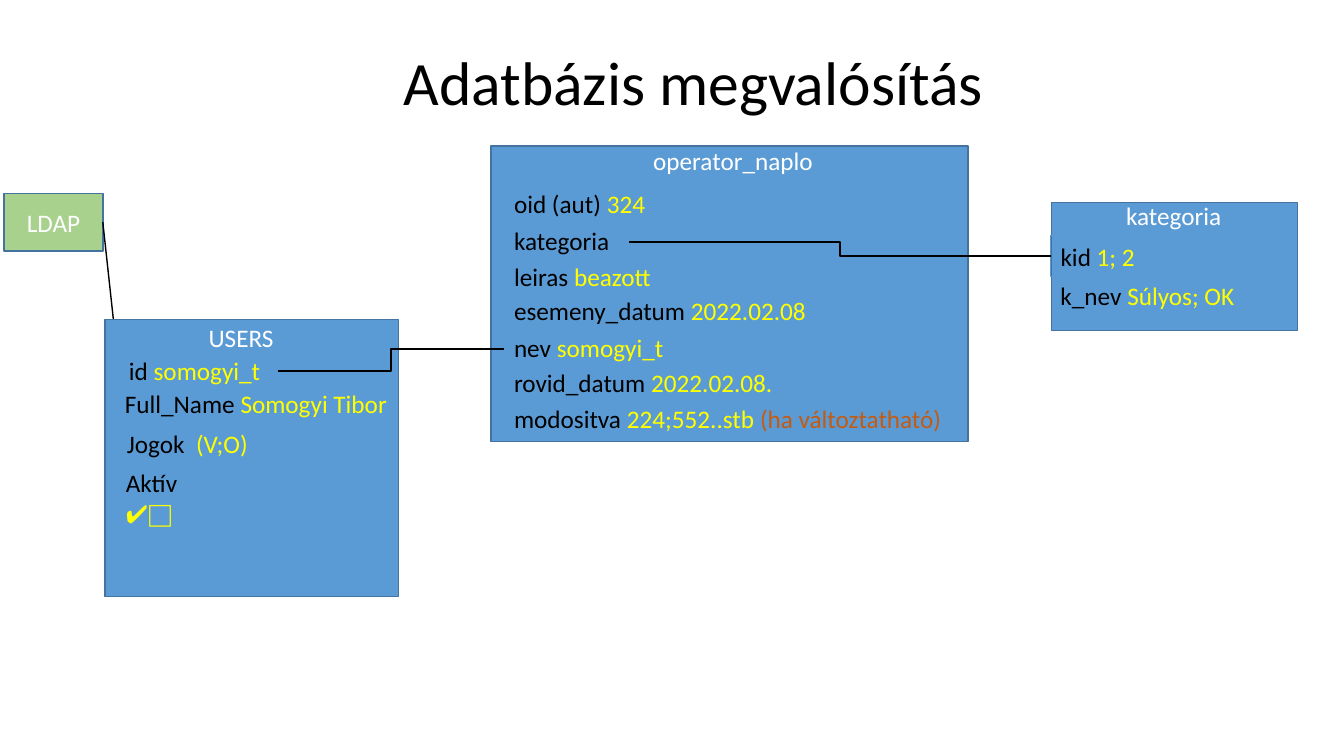
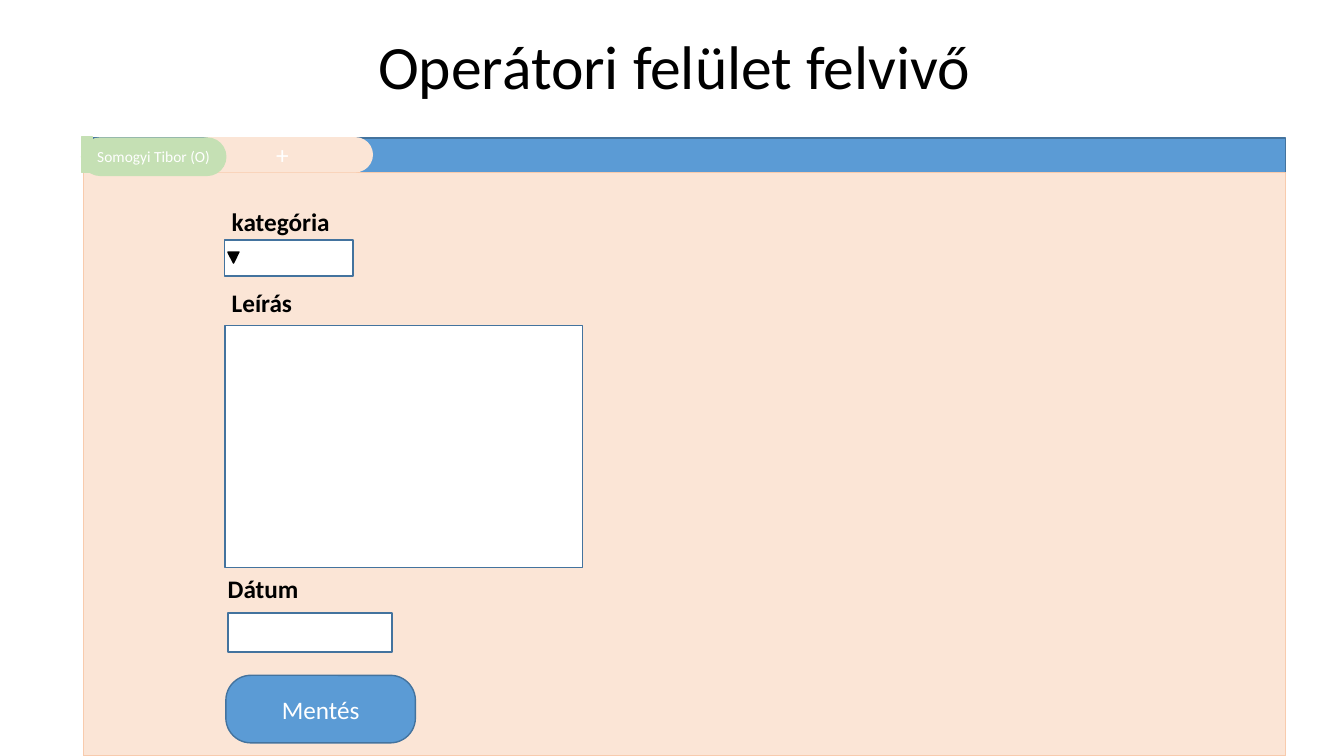
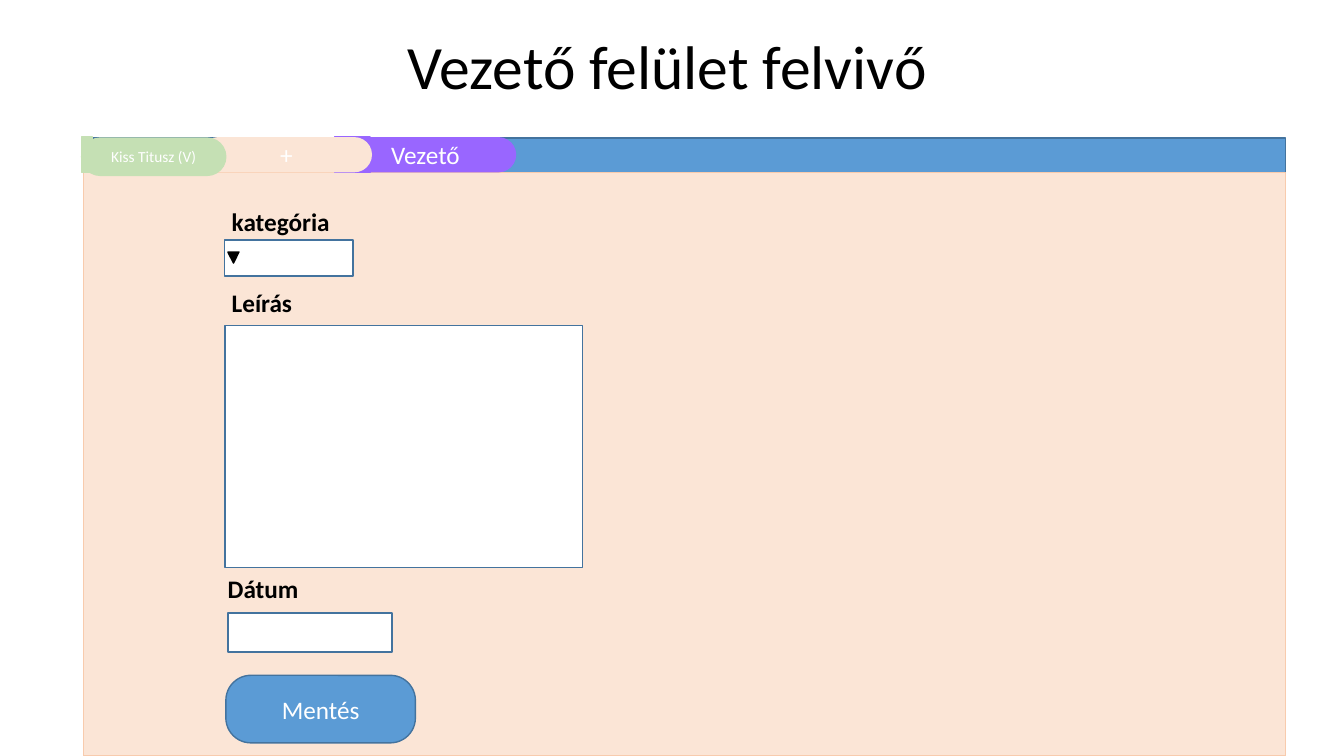
import pptx
import pptx.util
import pptx.dml.color
import pptx.enum.shapes
import pptx.enum.text
import pptx.oxml.ns
import lxml.etree
from dataclasses import dataclass

Inches, Pt = pptx.util.Inches, pptx.util.Pt
SHAPE = pptx.enum.shapes.MSO_SHAPE
CONNECTOR = pptx.enum.shapes.MSO_CONNECTOR
ALIGN = pptx.enum.text.PP_ALIGN
ANCHOR = pptx.enum.text.MSO_ANCHOR
AUTO_SIZE = pptx.enum.text.MSO_AUTO_SIZE
TOP, LEFT, BOTTOM, RIGHT = range(4)


@dataclass(frozen=True)
class Theme:
    font: str = "Calibri"
    title_size: int = 44
    text_size: int = 18
    small_size: int = 11
    black: str = "000000"
    white: str = "FFFFFF"
    blue: str = "5B9BD5"
    outline: str = "43739E"
    green: str = "A9D18E"
    pale_green: str = "C5E0B4"
    peach: str = "FBE5D6"
    peach_line: str = "F8CBAD"
    purple: str = "9966FF"
    yellow: str = "FFFF00"
    rust: str = "C55A11"


T = Theme()

# Content: database tables; a row is (name, x, y, width, runs)
ROW_COLOURS = (T.black, T.yellow, T.rust)
DB_TITLE = "Adatbázis megvalósítás"
OPERATOR_NAPLO = {
    "box": (4.87, 1.45, 4.73, 2.93),
    "head": ("operator_naplo", (6.38, 1.39, 1.99, 0.43)),
    "row_height": 0.43,
    "rows": [
        ("oid", 5, 1.82, 1.56, ("oid (aut) ", "324")),
        ("kategoria", 5, 2.19, 1.24, ("kategoria",)),
        ("leiras", 5, 2.54, 1.61, ("leiras ", "beazott")),
        ("esemeny", 5, 2.88, 3.2, ("esemeny_datum ", "2022.02.08")),
        ("nev", 5, 3.25, 1.74, ("nev ", "somogyi_t")),
        ("rovid", 5, 3.59, 2.86, ("rovid_datum ", "2022.02.08.")),
        ("modositva", 5, 3.95, 4.59,
         ("modositva ", "224;552..stb ", "(ha változtatható)")),
    ],
}
KATEGORIA = {
    "box": (10.43, 2.01, 2.44, 1.27),
    "head": ("kategoria", (11.07, 1.94, 1.15, 0.4)),
    "row_height": 0.4,
    "rows": [
        ("kid", 10.42, 2.34, 0.95, ("kid ", "1; 2")),
        ("k_nev", 10.42, 2.73, 2, ("k_nev ", "Súlyos; OK")),
    ],
}
USERS = {
    "box": (1.04, 3.17, 2.91, 2.75),
    "head": ("USERS", (1.97, 3.15, 0.85, 0.4)),
    "row_height": 0.4,
    "rows": [
        ("full_name", 1.14, 3.8, 2.83, ("Full_Name ", "Somogyi Tibor")),
        ("id", 1.18, 3.48, 1.58, ("id ", "somogyi_t")),
        ("jogok", 1.16, 4.2, 1.42, ("Jogok  ", "(V;O)")),
        ("aktiv", 1.15, 4.59, 1.1, ("Aktív ", "✔⬜")),
    ],
}
WRAPPED = ("operator_naplo", "aktiv")

# Content: entry screens; a tab is (text, x, width, colour, square left end)
SCREENS = [
    {"title": "Operátori felület felvivő", "user": "Somogyi Tibor (O)",
     "tabs": [("+", 1.9, 1.8, T.peach, False)]},
    {"title": "Vezető felület felvivő ", "user": "Kiss Titusz (V)",
     "tabs": [("Vezető", 3.32, 1.8, T.purple, True),
              ("+", 1.99, 1.7, T.peach, False)]},
]
FORM_LABELS = [
    ("kategória", (2.2, 2, 1.18, 0.4)),
    ("Leírás", (2.2, 2.8, 0.8, 0.4)),
    ("Dátum", (2.16, 5.64, 0.91, 0.4)),
]
FORM_INPUTS = [(2.23, 2.38, 1.27, 0.36), (2.23, 3.23, 3.55, 2.4),
               (2.26, 6.08, 1.63, 0.39)]
TAB_TOP, TAB_HEIGHT = 1.36, 0.35


# Drawing helpers
def rgb(colour):
    return pptx.dml.color.RGBColor.from_string(colour)


def lengths(box):
    return [Inches(v) for v in box]


def add_runs(p, runs, size=T.text_size, bold=None):
    for text, colour in runs:
        r = p.add_run()
        r.text = text
        fmt = {"name": T.font, "size": Pt(size), "bold": bold}
        for key, value in fmt.items():
            setattr(r.font, key, value)
        r.font.color.rgb = rgb(colour)


def add_box(shapes, box, fill, line=None, kind=SHAPE.RECTANGLE, adj=None,
            text=None, size=T.text_size):
    sp = shapes.add_shape(kind, *lengths(box))
    sp.shadow.inherit = False
    sp.fill.solid()
    sp.fill.fore_color.rgb = rgb(fill)
    if line:
        sp.line.color.rgb = rgb(line)
        sp.line.width = Pt(1)
    else:
        sp.line.fill.background()
    if adj is not None:
        sp.adjustments[0] = adj
    if text:
        sp.text_frame.vertical_anchor = ANCHOR.MIDDLE
        p = sp.text_frame.paragraphs[0]
        p.alignment = ALIGN.CENTER
        add_runs(p, [(text, T.white)], size)
    return sp


def add_text(shapes, box, runs, wrap=False, bold=None):
    sp = shapes.add_textbox(*lengths(box))
    fmt = {"word_wrap": wrap, "auto_size": AUTO_SIZE.SHAPE_TO_FIT_TEXT}
    for key, value in fmt.items():
        setattr(sp.text_frame, key, value)
    add_runs(sp.text_frame.paragraphs[0], runs, bold=bold)
    return sp


def add_line(s, kind, width):
    cx = s.shapes.add_connector(kind, 0, 0, 0, 0)
    cx.line.color.rgb = rgb(T.black)
    cx.line.width = Pt(width)
    sp_pr = cx._element.spPr
    lxml.etree.SubElement(sp_pr, pptx.oxml.ns.qn("a:effectLst"))
    return cx


def add_slide(prs, title, box):
    s = prs.slides.add_slide(prs.slide_layouts[5])
    sp = s.shapes.title
    for key, value in zip(("left", "top", "width", "height"), lengths(box)):
        setattr(sp, key, value)
    sp.text_frame.vertical_anchor = ANCHOR.MIDDLE
    p = sp.text_frame.paragraphs[0]
    p.alignment, p.line_spacing = ALIGN.CENTER, 0.9
    add_runs(p, [(title, T.black)], T.title_size)
    return s


def add_db_table(s, table):
    """Draw one database table as a group; return its rows by name."""
    shapes = s.shapes.add_group_shape().shapes
    add_box(shapes, table["box"], T.blue, T.outline)
    head, box = table["head"]
    add_text(shapes, box, [(head, T.white)], head in WRAPPED)
    return {
        name: add_text(shapes, (x, y, w, table["row_height"]),
                       zip(texts, ROW_COLOURS), name in WRAPPED)
        for name, x, y, w, texts in table["rows"]
    }


# Slides
def database_slide(prs):
    s = add_slide(prs, DB_TITLE, (1.13, 0.12, 11.5, 1.45))
    ldap = add_box(s.shapes, (0.04, 1.92, 0.98, 0.57), T.green, T.outline,
                   text="LDAP")
    naplo = add_db_table(s, OPERATOR_NAPLO)
    kategoria = add_db_table(s, KATEGORIA)
    kid = kategoria["kid"]
    kid.line.color.rgb = rgb(T.blue)
    kid.line.width = Pt(0.75)
    # The LDAP line lies behind the USERS table
    ldap_line = add_line(s, CONNECTOR.STRAIGHT, 1)
    users = add_db_table(s, USERS)
    links = [
        (ldap_line, ldap, RIGHT, users["id"], LEFT),
        (add_line(s, CONNECTOR.ELBOW, 1.5), naplo["kategoria"], RIGHT, kid, LEFT),
        (add_line(s, CONNECTOR.ELBOW, 1.5), naplo["nev"], LEFT, users["id"], RIGHT),
    ]
    for cx, start, start_side, end, end_side in links:
        cx.begin_connect(start, start_side)
        cx.end_connect(end, end_side)


def screen_slide(prs, screen):
    s = add_slide(prs, screen["title"], (0.94, 0, 11.5, 1.37))
    shapes = s.shapes
    # Window: tab bar and panel
    add_box(shapes, (0.83, 1.37, 11.92, 6.13), T.blue, T.outline)
    add_box(shapes, (0.83, 1.71, 11.92, 5.79), T.peach, T.peach_line)
    # Form
    for box in FORM_INPUTS:
        add_box(shapes, box, T.white, T.outline)
    arrow = add_box(shapes, (2.26, 2.5, 0.11, 0.11), T.black, T.black,
                    SHAPE.ISOSCELES_TRIANGLE)
    arrow.rotation = 180
    for text, box in FORM_LABELS:
        add_text(shapes, box, [(text, T.black)], bold=True)
    add_box(shapes, (2.24, 6.7, 1.88, 0.67), T.blue, T.outline,
            SHAPE.ROUNDED_RECTANGLE, 0.37, "Mentés")
    # Tabs, the signed-in user in front
    for text, x, w, colour, square in screen["tabs"]:
        add_box(shapes, (x, TAB_TOP, w, TAB_HEIGHT), colour, None,
                SHAPE.ROUNDED_RECTANGLE, 0.5, text)
        if square:
            add_box(shapes, (x, TAB_TOP, TAB_HEIGHT, TAB_HEIGHT), colour, colour)
    add_box(shapes, (0.81, TAB_TOP, 0.11, TAB_HEIGHT), T.pale_green, T.pale_green)
    add_box(shapes, (0.81, 1.37, 1.43, 0.37), T.pale_green, T.pale_green,
            SHAPE.ROUNDED_RECTANGLE, 0.5, screen["user"], T.small_size)


def main():
    prs = pptx.Presentation()
    prs.slide_width, prs.slide_height = Inches(13.33), Inches(7.5)
    database_slide(prs)
    for screen in SCREENS:
        screen_slide(prs, screen)
    prs.save("out.pptx")


if __name__ == "__main__":
    main()
